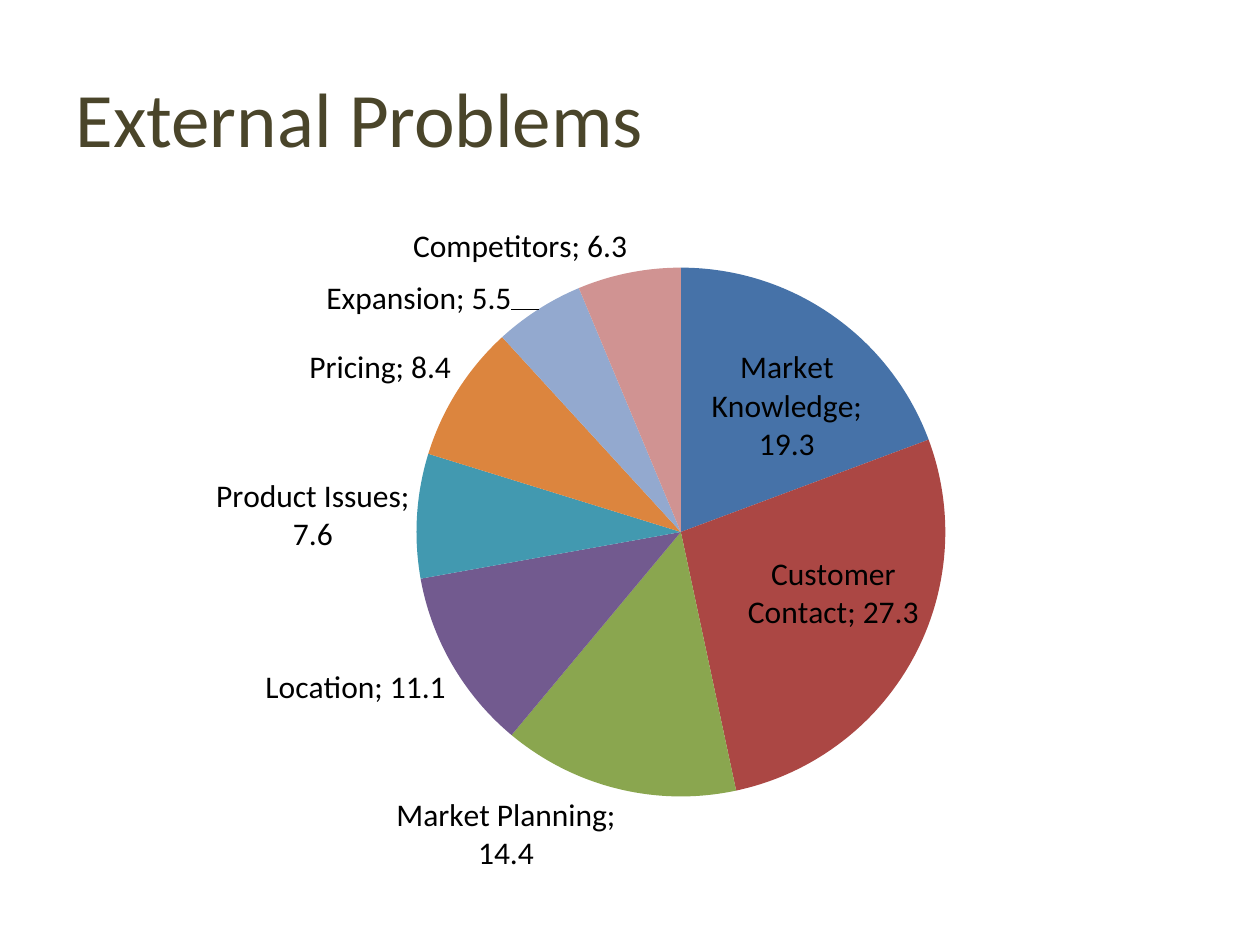
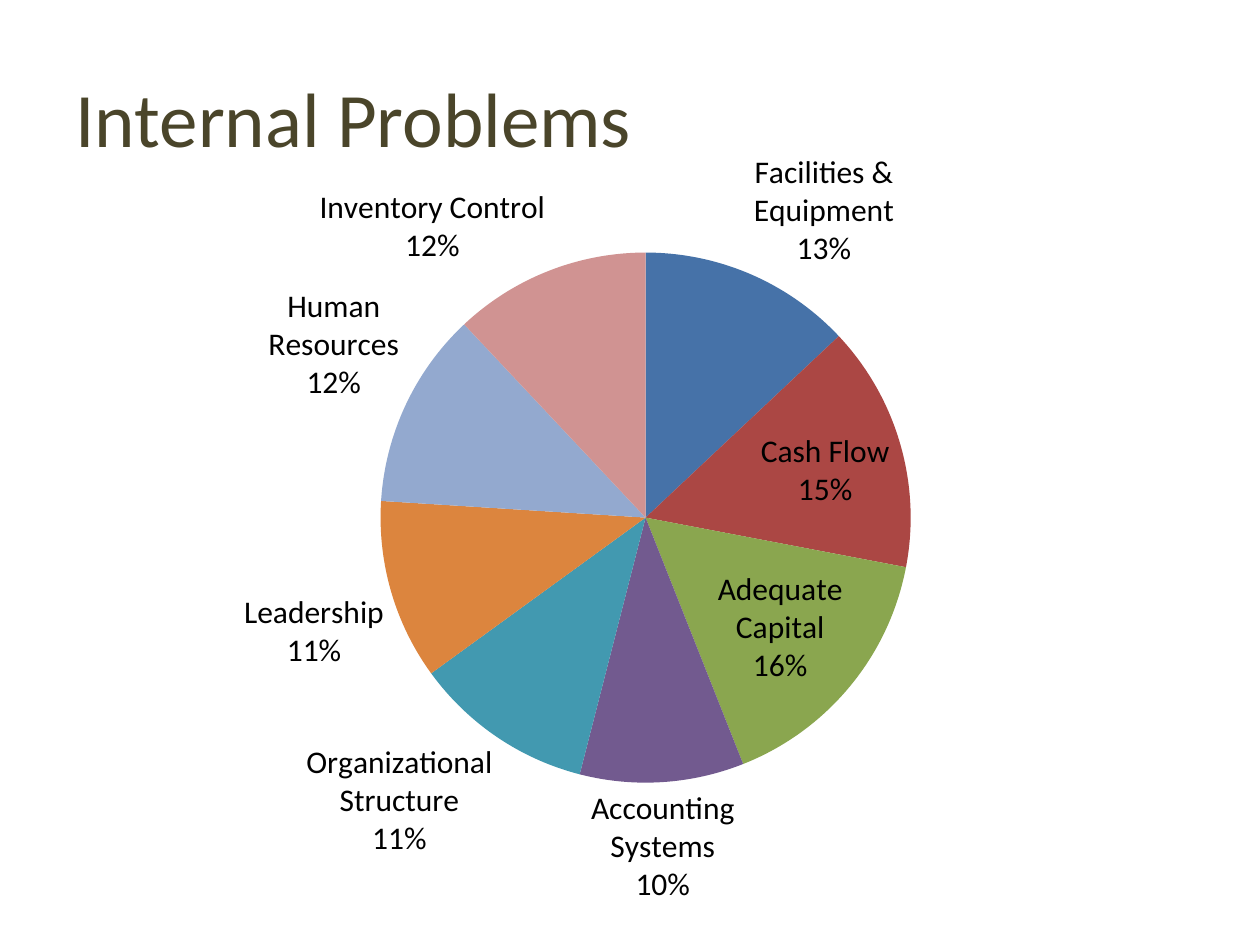
from dataclasses import dataclass

from lxml import etree
from pptx import Presentation
from pptx.chart import data as cd
from pptx.dml.color import RGBColor
from pptx.enum import chart as ch, text
from pptx.oxml import ns
from pptx.util import Inches, Pt

FONT = "Calibri"
OLIVE = RGBColor(0x4A, 0x45, 0x2A)
BLACK = RGBColor(0, 0, 0)
HUES = [RGBColor.from_string(c) for c in (
    "4672A8", "AB4744", "8AA64F", "725A8F",
    "4299B0", "DC853E", "93A9CF", "D09392")]


@dataclass
class Pie:
    title: str
    box: tuple[float, float, float, float]  # left, top, width, height
    mid: tuple[float, float]  # centre of the disc on the slide
    cuts: dict[str, float]
    share: bool  # labels show percentages instead of values
    sep: str
    moved: dict[int, tuple[float, float]]  # label shifts, as chart fractions


SIZE = 4.2  # disc diameter

PIES = [
    Pie("External Problems", (0.5, 1.25, 9, 5.83), (5.35, 4.21),
        {"Market Knowledge": 19.3, "Customer Contact": 27.3,
         "Market Planning": 14.4, "Location": 11.1, "Product Issues": 7.6,
         "Pricing": 8.4, "Expansion": 5.5, "Competitors": 6.3},
        False, "; ", {6: (-0.02, 0.02)}),
    Pie("Internal Problems", (0.58, 1, 9, 6.28), (5.13, 4.09),
        {"Facilities & Equipment": 13, "Cash Flow": 15,
         "Adequate Capital": 16, "Accounting Systems": 10,
         "Organizational Structure": 11, "Leadership": 11,
         "Human Resources": 12, "Inventory Control": 12},
        True, "\n", {}),
]


def layout(**vals: object) -> etree._Element:
    """Make a chart layout with the given settings."""
    top = etree.Element(ns.qn("c:layout"))
    man = etree.SubElement(top, ns.qn("c:manualLayout"))
    for key, val in vals.items():
        etree.SubElement(man, ns.qn(f"c:{key}")).set("val", str(val))
    return top


def place(root: etree._Element, pie: Pie) -> None:
    """Fix the disc in the chart area."""
    left, top, wide, high = pie.box
    area = root.find(f".//{ns.qn('c:plotArea')}")
    for old in area.findall(ns.qn("c:layout")):
        area.remove(old)
    area.insert(0, layout(
        layoutTarget="inner", xMode="edge", yMode="edge",
        x=round((pie.mid[0] - SIZE / 2 - left) / wide, 2),
        y=round((pie.mid[1] - SIZE / 2 - top) / high, 2),
        w=round(SIZE / wide, 2), h=round(SIZE / high, 2)))


def label(root: etree._Element, ser, pie: Pie) -> None:
    """Show category and number on each slice."""
    tags = ser.data_labels
    tags.show_category_name = True
    tags.show_value = not pie.share
    tags.show_percentage = pie.share
    tags.number_format = "0%" if pie.share else "General"
    tags.number_format_is_linked = False
    tags.position = ch.XL_LABEL_POSITION.BEST_FIT
    for i, (x, y) in pie.moved.items():
        ser.points[i].data_label.position = ch.XL_LABEL_POSITION.BEST_FIT
        own = root.findall(f".//{ns.qn('c:dLbl')}")[-1]
        own.find(ns.qn("c:idx")).addnext(layout(x=x, y=y))
        own.find(ns.qn("c:showCatName")).set("val", "1")
    for last in list(root.iter(ns.qn("c:showBubbleSize"))):
        sep = etree.Element(ns.qn("c:separator"))
        sep.text = pie.sep
        last.addnext(sep)


def draw(deck, pie: Pie) -> None:
    slide = deck.slides.add_slide(deck.slide_layouts[5])

    # Title
    head = slide.shapes.title
    head.left, head.top, head.width, head.height = map(
        Inches, (0.5, 0.3, 9, 1.25))
    head.text_frame.text = pie.title
    head.text_frame.vertical_anchor = text.MSO_ANCHOR.MIDDLE
    para = head.text_frame.paragraphs[0]
    para.alignment = text.PP_ALIGN.LEFT
    para.font.name, para.font.size = FONT, Pt(44)
    para.font.color.rgb = OLIVE

    # Chart
    data = cd.CategoryChartData()
    data.categories = list(pie.cuts)
    data.add_series("Series 1", list(pie.cuts.values()))
    chart = slide.shapes.add_chart(
        ch.XL_CHART_TYPE.PIE, *map(Inches, pie.box), data).chart
    chart.has_title = chart.has_legend = False
    chart.font.name, chart.font.size = FONT, Pt(18)
    chart.font.color.rgb = BLACK
    plot = chart.plots[0]
    plot.vary_by_categories = True
    ser = plot.series[0]
    for i, hue in enumerate(HUES):
        fill = ser.points[i].format.fill
        fill.solid()
        fill.fore_color.rgb = hue

    root = chart.element
    place(root, pie)
    label(root, ser, pie)


def main() -> None:
    deck = Presentation()
    deck.slide_width, deck.slide_height = Inches(10), Inches(7.5)
    for pie in PIES:
        draw(deck, pie)
    deck.save("out.pptx")


if __name__ == "__main__":
    main()
